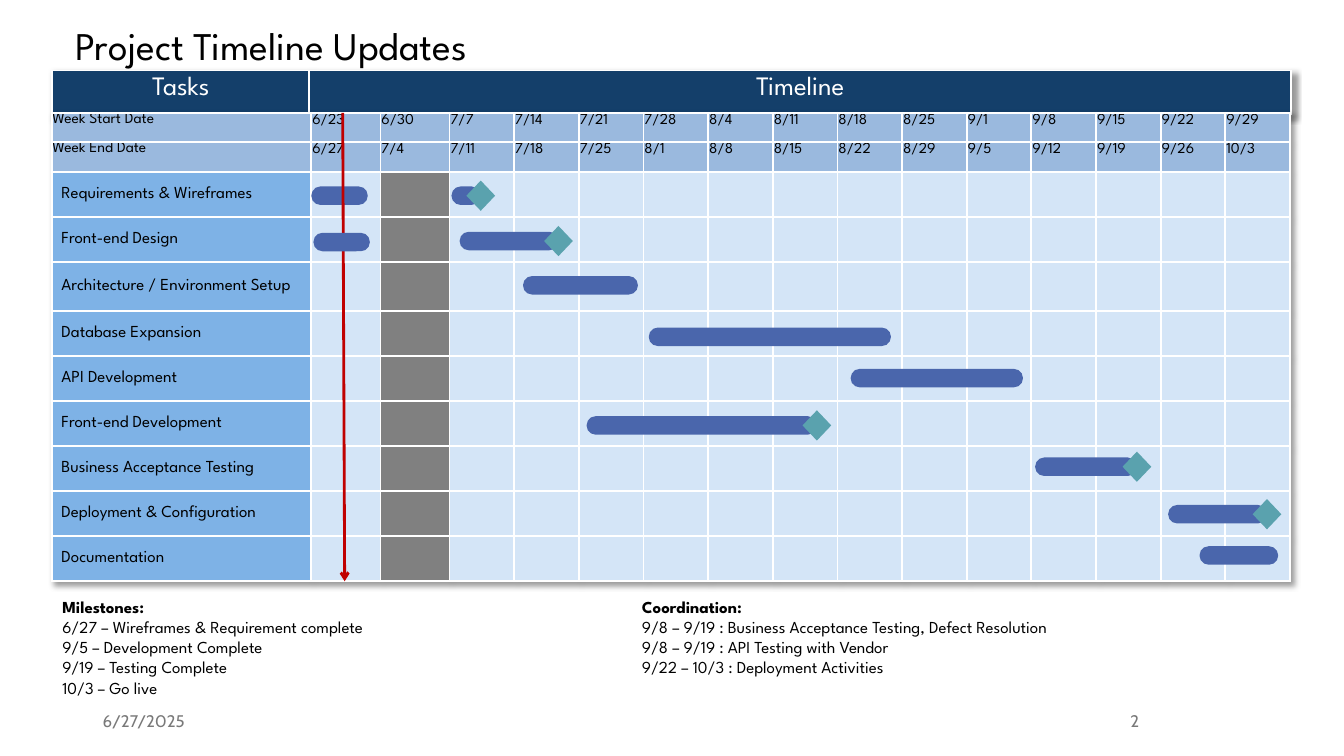
from lxml import etree
from pptx import Presentation
from pptx.dml.color import RGBColor
from pptx.enum import shapes, text
from pptx.oxml import parse_xml
from pptx.oxml.ns import nsdecls, qn
from pptx.util import Pt

COLORS = {
    "white": "FFFFFF", "black": "000000", "footer": "797979",
    "header": "143F6A", "dates": "9AB9DE", "task": "7EB2E6",
    "week": "D4E5F7", "blocked": "808080", "bar": "4A66AC",
    "milestone": "5AA2AE", "today": "C00000",
}
HEADING_FONT, FOOTER_FONT = "League Spartan", "Cabin"

WEEK_STARTS = ["6/23", "6/30", "7/7", "7/14", "7/21", "7/28", "8/4", "8/11",
               "8/18", "8/25", "9/1", "9/8", "9/15", "9/22", "9/29"]
WEEK_ENDS = ["6/27", "7/4", "7/11", "7/18", "7/25", "8/1", "8/8", "8/15",
             "8/22", "8/29", "9/5", "9/12", "9/19", "9/26", "10/3"]
TASKS = ["Requirements & Wireframes", "Front-end Design",
         "Architecture / Environment Setup", "Database Expansion",
         "API Development", "Front-end Development",
         "Business Acceptance Testing", "Deployment & Configuration",
         "Documentation"]
BLOCKED_COLUMN = 2
COLUMN_WIDTHS = [185] + [49.4] * 2 + [46.2] * 13
ROW_HEIGHTS = [21, 21.2] + [32.2] * 2 + [34.8] + [32.2] * 6

# task, left in the grid, drop below the row top, length, ends in a milestone
BARS_BEHIND_TODAY = [
    (2, 336.2, 10, 82.1, False),
    (3, 426, 12, 173, False),
    (4, 570.2, 9.3, 123.1, False),
    (8, 819.4, 7.2, 56.2, False),
    (7, 797, 9.9, 70.6, True),
    (6, 702, 8.2, 72.7, True),
    (0, 185, 10.4, 40.3, False),
    (5, 381.6, 10.9, 164.5, True),
]
BARS_OVER_TODAY = [
    (1, 186.5, 11.3, 40.3, False),
    (1, 290.9, 10.6, 70.6, True),
    (0, 285.1, 10.4, 20.9, True),
]
MILESTONES = ["Milestones:", "6/27 – Wireframes & Requirement complete",
              "9/5 – Development Complete", "9/19 – Testing Complete",
              "10/3 – Go live"]
COORDINATION = ["Coordination:",
                "9/8 – 9/19 : Business Acceptance Testing, Defect Resolution",
                "9/8 – 9/19 : API Testing with Vendor",
                "9/22 – 10/3 : Deployment Activities"]


def rgb(name):
    return RGBColor.from_string(COLORS[name])


def points(*lengths):
    return [Pt(length) for length in lengths]


def style_runs(paragraph, size, color="black", font=HEADING_FONT, bold=False):
    for run in paragraph.runs:
        run.font.size = Pt(size)
        run.font.name = font
        run.font.bold = bold
        run.font.color.rgb = rgb(color)


def style_cell(cell, fill, words="", size=12, color="black", insets=None):
    """Fill and border a cell; insets are left, top, right, bottom."""
    cell.fill.solid()
    cell.fill.fore_color.rgb = rgb(fill)
    properties = cell._tc.get_or_add_tcPr()
    for index, side in enumerate(("lnL", "lnR", "lnT", "lnB")):
        properties.insert(index, parse_xml(
            f'<a:{side} {nsdecls("a")} w="{Pt(1.5)}"><a:solidFill>'
            f'<a:srgbClr val="{COLORS["white"]}"/></a:solidFill></a:{side}>'))
    if words:
        cell.text = words
        style_runs(cell.text_frame.paragraphs[0], size, color)
    if insets:
        (cell.margin_left, cell.margin_top,
         cell.margin_right, cell.margin_bottom) = points(*insets)


def add_plain_table(slide, left, top, widths, heights):
    """Add an unbanded table with a soft shadow."""
    table = slide.shapes.add_table(
        len(heights), len(widths),
        *points(left, top, sum(widths), sum(heights))).table
    table.first_row = table.horz_banding = False
    for column, width in zip(table.columns, widths):
        column.width = Pt(width)
    for row, height in zip(table.rows, heights):
        row.height = Pt(height)
    table._tbl.tblPr.insert(0, parse_xml(
        f'<a:effectLst {nsdecls("a")}><a:outerShdw blurRad="{Pt(4)}" '
        f'dist="{Pt(3)}" dir="2700000" algn="tl" rotWithShape="0">'
        '<a:prstClr val="black"><a:alpha val="40000"/></a:prstClr>'
        '</a:outerShdw></a:effectLst>'))
    return table


def add_title(slide, left, top, width, height):
    title = slide.shapes.title
    title.left, title.top, title.width, title.height = points(left, top, width, height)
    title.text_frame.text = "Project Timeline Updates"
    title.text_frame.vertical_anchor = text.MSO_ANCHOR.MIDDLE
    paragraph = title.text_frame.paragraphs[0]
    paragraph.alignment = text.PP_ALIGN.LEFT
    paragraph.line_spacing = 0.9
    style_runs(paragraph, 28)


def add_header(slide, left, top):
    table = add_plain_table(slide, left, top, [183.6, 701.2], [30.9])
    for cell, words in zip(table.rows[0].cells, ("Tasks", "Timeline")):
        style_cell(cell, "header", words, 19, "white", (7.9, 4.3, 7.9, 4.3))
        cell.text_frame.paragraphs[0].alignment = text.PP_ALIGN.CENTER


def add_grid(slide, left, top):
    table = add_plain_table(slide, left, top, COLUMN_WIDTHS, ROW_HEIGHTS)
    date_rows = (["Week Start Date"] + WEEK_STARTS, ["Week End Date"] + WEEK_ENDS)
    for row, dates in enumerate(date_rows):
        for column, words in enumerate(dates):
            inset = 0.7 if column else 0
            style_cell(table.cell(row, column), "dates", words, 11,
                       insets=(inset, inset, inset, 0))
    for row, task in enumerate(TASKS, start=len(date_rows)):
        label = table.cell(row, 0)
        style_cell(label, "task", task, insets=(6.5, 0.7, 0.7, 0))
        label.vertical_anchor = text.MSO_ANCHOR.MIDDLE
        for column in range(1, len(COLUMN_WIDTHS)):
            style_cell(table.cell(row, column),
                       "blocked" if column == BLOCKED_COLUMN else "week")


def add_solid(slide, kind, color, left, top, width, height):
    shape = slide.shapes.add_shape(kind, *points(left, top, width, height))
    shape.shadow.inherit = False
    shape.fill.solid()
    shape.fill.fore_color.rgb = rgb(color)
    shape.line.fill.background()
    return shape


def add_bars(slide, left, top, bars):
    thickness, diamond_width, diamond_height = 13.2, 20.5, 21.6
    for task, start, drop, length, has_milestone in bars:
        bar_left = left + start
        bar_top = top + sum(ROW_HEIGHTS[:task + 2]) + drop
        bar = add_solid(slide, shapes.MSO_SHAPE.ROUNDED_RECTANGLE, "bar",
                        bar_left, bar_top, length, thickness)
        bar.adjustments[0] = 0.49
        if has_milestone:
            add_solid(slide, shapes.MSO_SHAPE.FLOWCHART_DECISION, "milestone",
                      bar_left + length - diamond_width / 2,
                      bar_top + (thickness - diamond_height) / 2,
                      diamond_width, diamond_height)


def add_today_line(slide, left, top):
    line = slide.shapes.add_connector(
        shapes.MSO_CONNECTOR.STRAIGHT,
        *points(left + 207.4, top, left + 208.8, top + sum(ROW_HEIGHTS)))
    line.line.color.rgb = rgb("today")
    line.line.width = Pt(2)
    etree.SubElement(line.line._get_or_add_ln(), qn("a:tailEnd"), type="arrow")
    etree.SubElement(line._element.spPr, qn("a:effectLst"))


def add_notes_block(shape, lines):
    """Write a bold heading followed by plain lines."""
    frame = shape.text_frame
    frame.word_wrap = True
    frame.vertical_anchor = text.MSO_ANCHOR.TOP
    frame.text = "\n".join(lines)
    for index, paragraph in enumerate(frame.paragraphs):
        paragraph.alignment = text.PP_ALIGN.LEFT
        style_runs(paragraph, 12, bold=index == 0)


def add_footer(slide, words, alignment, left, top, width, height):
    frame = slide.shapes.add_textbox(*points(left, top, width, height)).text_frame
    frame.word_wrap = True
    frame.vertical_anchor = text.MSO_ANCHOR.MIDDLE
    frame.text = words
    paragraph = frame.paragraphs[0]
    paragraph.alignment = alignment
    paragraph.space_after = Pt(6)
    style_runs(paragraph, 12, "footer", FOOTER_FONT)


def main():
    presentation = Presentation()
    presentation.slide_width, presentation.slide_height = points(960, 540)
    slide = presentation.slides.add_slide(presentation.slide_layouts[5])
    left, grid_top, notes_top, footer_top = 37.4, 80.6, 422.6, 500.4
    add_title(slide, 46.8, 15.1, 828, 38.2)
    add_footer(slide, "6/27/2025", text.PP_ALIGN.LEFT, 66.2, footer_top, 216, 28.8)
    add_footer(slide, "2", text.PP_ALIGN.RIGHT, 678.2, footer_top, 142.6, 28.8)
    add_header(slide, left, 50.4)
    add_grid(slide, left, grid_top)
    add_bars(slide, left, grid_top, BARS_BEHIND_TODAY)
    add_notes_block(add_solid(slide, shapes.MSO_SHAPE.RECTANGLE, "white",
                              left, notes_top, 351.4, 79.9), MILESTONES)
    add_today_line(slide, left, grid_top)
    add_notes_block(slide.shapes.add_textbox(*points(451.4, notes_top, 445, 79.9)),
                    COORDINATION)
    add_bars(slide, left, grid_top, BARS_OVER_TODAY)
    presentation.save("out.pptx")


if __name__ == "__main__":
    main()
